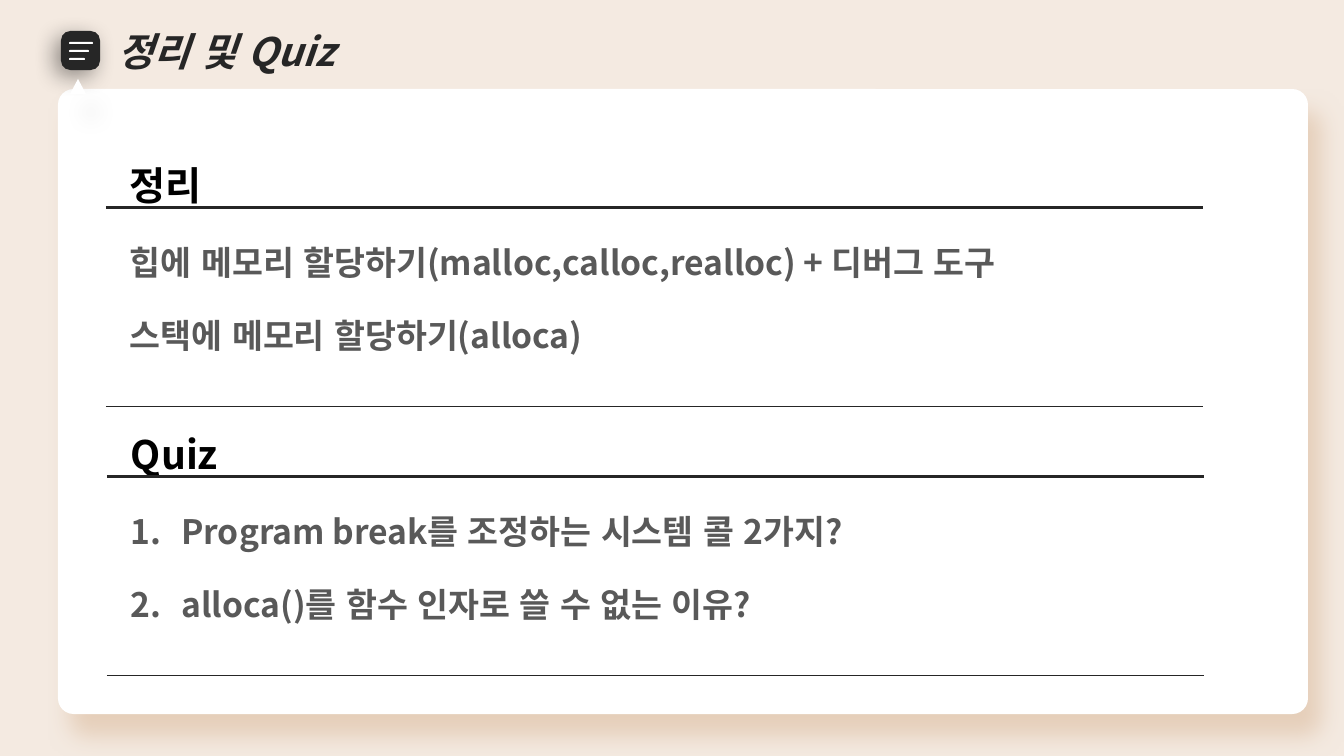
from lxml import etree
from pptx import Presentation
from pptx.dml.color import RGBColor
from pptx.enum.lang import MSO_LANGUAGE_ID as Language
from pptx.enum.shapes import MSO_SHAPE as Shape
from pptx.enum.text import MSO_ANCHOR as Anchor, MSO_AUTO_SIZE as AutoSize
from pptx.oxml.ns import qn
from pptx.util import Pt

PX = 12192000 / 1344  # EMU in one px
FONT = "Noto Sans CJK KR"
CREAM = RGBColor(0xF4, 0xEA, 0xE1)
TAN = RGBColor(0xE1, 0xC6, 0xAD)
WHITE = RGBColor(0xFF, 0xFF, 0xFF)
BLACK = RGBColor(0x00, 0x00, 0x00)
INK = RGBColor(0x26, 0x26, 0x26)
GREY = RGBColor(0x59, 0x59, 0x59)


def px(*lengths):
    return [round(length * PX) for length in lengths]


def add_child(parent, tag, **attributes):
    values = {name: str(value) for name, value in attributes.items()}
    return etree.SubElement(parent, qn(tag), values)


def add_shadow(shape, color, alpha, distance, angle):
    """Give a shape an outer shadow; alpha is in percent, distance in points."""
    effects = shape._element.spPr.find(qn("a:effectLst"))
    shadow = add_child(effects, "a:outerShdw", blurRad=Pt(16), dist=Pt(distance),
                       dir=angle * 60000, algn="ctr", rotWithShape=0)
    tint = add_child(shadow, "a:srgbClr", val=color)
    add_child(tint, "a:alpha", val=alpha * 1000)


def add_block(page, kind, place, color, corner=None):
    block = page.shapes.add_shape(kind, *px(*place))
    block.shadow.inherit = False
    block.fill.solid()
    block.fill.fore_color.rgb = color
    block.line.fill.background()
    if corner is not None:
        block.adjustments[0] = corner
    return block


def add_span(para, text, size, color, italic=False):
    span = para.add_run()
    span.text = text
    font = span.font
    font.name, font.size, font.bold = FONT, Pt(size), True
    font.language_id = Language.KOREAN
    font.color.rgb = color
    if italic:
        font.italic = True
    add_child(span._r.get_or_add_rPr(), "a:ea", typeface=FONT)


def add_title(page, text):
    box = page.shapes.add_textbox(*px(108, 22, 471, 57))
    box.text_frame.word_wrap = True
    box.text_frame.auto_size = AutoSize.SHAPE_TO_FIT_TEXT
    add_span(box.text_frame.paragraphs[0], text, 28, INK, italic=True)


def add_border(cell, side, width):
    """Draw one cell border; a width of 0 hides it."""
    line = add_child(cell._tc.get_or_add_tcPr(), side, w=Pt(width))
    if width:
        fill = add_child(line, "a:solidFill")
        add_child(fill, "a:srgbClr", val=INK)
    else:
        add_child(line, "a:noFill")


def number_para(para):
    props = para._p.get_or_add_pPr()
    props.set("marL", "457200")
    props.set("indent", "-457200")
    add_child(props, "a:buFont", typeface="+mj-lt")
    add_child(props, "a:buAutoNum", type="arabicPeriod")


def style_cell(cell, anchor, top, bottom):
    cell.vertical_anchor = anchor
    cell.margin_left = px(24)[0]
    for side, width in (("a:lnL", 0), ("a:lnR", 0), ("a:lnT", top), ("a:lnB", bottom)):
        add_border(cell, side, width)
    cell.fill.background()


def add_section(page, left, top, heading, lines, numbered=False):
    """Add a ruled table with a heading row above a row of text lines."""
    table = page.shapes.add_table(2, 1, *px(left, top, 1097, 256)).table
    table.horz_banding = False
    table.rows[0].height, table.rows[1].height = px(56, 199)
    head, body = table.cell(0, 0), table.cell(1, 0)
    style_cell(head, Anchor.MIDDLE, 0, 2.25)
    style_cell(body, Anchor.TOP, 2.25, 0.75)
    add_span(head.text_frame.paragraphs[0], heading, 28, BLACK)
    frame = body.text_frame
    for index, line in enumerate(lines):
        para = frame.add_paragraph() if index else frame.paragraphs[0]
        para.line_spacing = 1.5
        if numbered:
            number_para(para)
        add_span(para, line, 24, GREY)


def add_note_icon(page):
    tile = add_block(page, Shape.ROUNDED_RECTANGLE, (61, 31, 39, 39), INK, 0.24)
    add_shadow(tile, BLACK, 40, 6, 135)
    for row, width in enumerate((24, 20, 16)):
        add_block(page, Shape.ROUNDED_RECTANGLE,
                  (69, 42 + 8 * row, width, 2), WHITE, 0.5)


def main():
    deck = Presentation()
    deck.slide_width, deck.slide_height = px(1344, 756)
    page = deck.slides.add_slide(deck.slide_layouts[6])
    page.background.fill.solid()
    page.background.fill.fore_color.rgb = CREAM

    card = add_block(page, Shape.ROUNDED_RECTANGLE, (58, 89, 1250, 625), WHITE, 0.025)
    add_shadow(card, TAN, 75, 19, 60)
    add_note_icon(page)
    pointer = add_block(page, Shape.ISOSCELES_TRIANGLE, (70, 79, 16, 15), WHITE)
    add_shadow(pointer, BLACK, 11, 19, 60)

    add_title(page, "정리 및 Quiz")
    add_section(page, 106, 150, "정리", [
        "힙에 메모리 할당하기(malloc,calloc,realloc) + 디버그 도구",
        "스택에 메모리 할당하기(alloca)",
    ])
    add_section(page, 107, 419, "Quiz", [
        "Program break를 조정하는 시스템 콜 2가지?",
        "alloca()를 함수 인자로 쓸 수 없는 이유?",
    ], numbered=True)
    deck.save("out.pptx")


if __name__ == "__main__":
    main()
